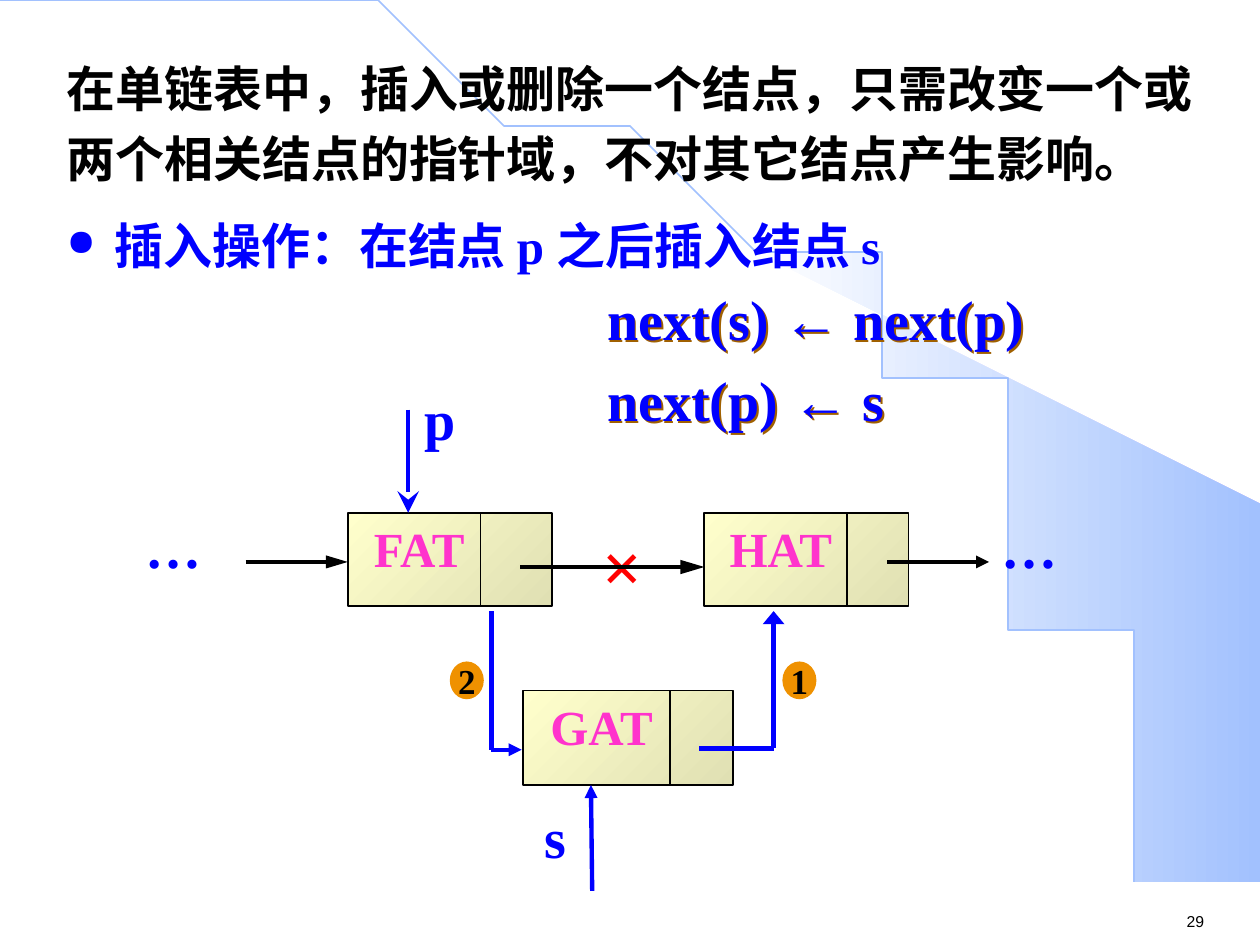
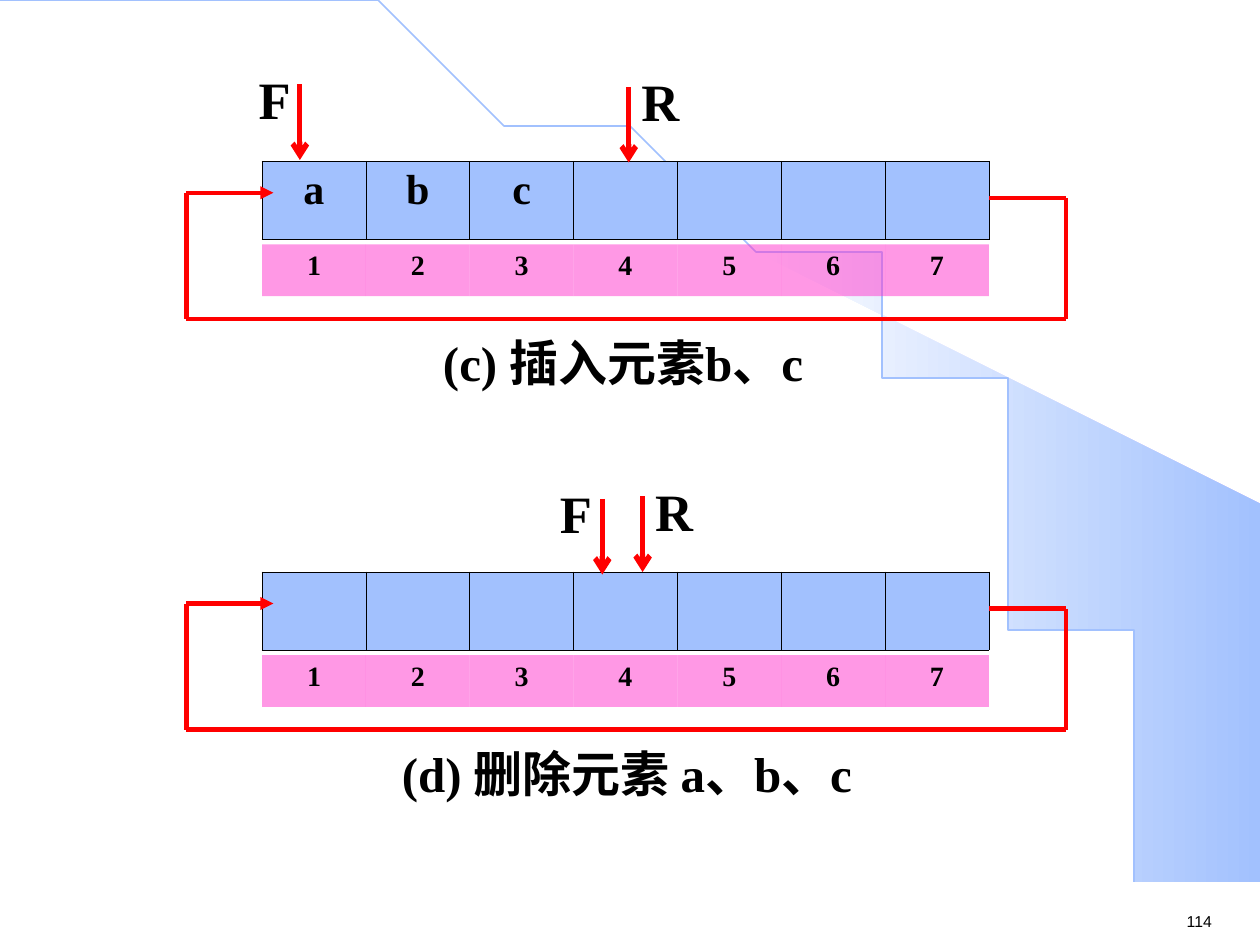
from itertools import pairwise
from math import asin, cos, pi, sin

from lxml.etree import SubElement
from pptx import Presentation
from pptx.dml.color import RGBColor
from pptx.enum.shapes import MSO_CONNECTOR, MSO_SHAPE
from pptx.enum.text import MSO_ANCHOR, PP_ALIGN
from pptx.oxml.ns import qn
from pptx.util import Inches, Pt

# ---------- shared look ----------
SLIDE_WIDTH, SLIDE_HEIGHT = 10, 7.5
COLORS = {"black": "000000", "blue": "0000FF", "red": "FF0000", "pink": "FF33CC",
          "sky": "A2C1FE", "white": "FFFFFF", "cream": "FFFFCC", "khaki": "E0E0B3",
          "orange": "EF9100", "brown": "A06000"}
SERIF, SANS, CHINESE = "Times New Roman", "Arial", "Noto Sans CJK SC"
INSETS = (0.1, 0.05)
ARC_WIDTH, ARC_HEIGHT = 9.2, 7.49
WEDGE_LEFT, WEDGE_RIGHT_TOP = 5.89, 4.23

# ---------- linked list slide ----------
LIST_NUMBER = "29"
RULE = "在单链表中，插入或删除一个结点，只需改变一个或两个相关结点的指针域，不对其它结点产生影响。"
OPERATION = "插入操作：在结点 p 之后插入结点 s"
STEPS = [[("next(s) ", SERIF), ("←", SANS), (" next(p)", SERIF)],
         [("next(p) ", SERIF), ("←", SANS), (" s", SERIF)]]
# name, left, top, width, height, share of the width before the divider
NODES = [("FAT", 2.76, 4.07, 1.62, 0.74, 0.65),
         ("HAT", 5.59, 4.07, 1.62, 0.74, 0.7),
         ("GAT", 4.15, 5.48, 1.67, 0.75, 0.7)]
# points, colour, width, head kind, head width, head length
LINKS = [
    ([(1.95, 4.46), (2.76, 4.46)], "black", 2.5, "triangle", "med", "lg"),
    ([(4.13, 4.5), (5.59, 4.5)], "black", 2.75, "triangle", "med", "lg"),
    ([(7.04, 4.46), (7.85, 4.46)], "black", 2.5, "triangle", "med", "med"),
    ([(3.24, 3.25), (3.24, 4.07)], "blue", 2.5, "stealth", "lg", "lg"),
    ([(4.7, 7.07), (4.69, 6.23)], "blue", 2.5, "triangle", "med", "med"),
    ([(3.9, 4.85), (3.9, 5.95), (4.14, 5.95)], "blue", 2.5, "triangle", "med", "med"),
    ([(5.55, 5.94), (6.14, 5.94), (6.14, 4.85)], "blue", 2.5, "triangle", "lg", "med"),
]
# text, box, size, colour, line spacing
LIST_LABELS = [("…", (1.06, 3.99, 0.81, 0.66), 32, "blue", 1.05),
               ("…", (7.85, 3.99, 0.81, 0.66), 32, "blue", 1.05),
               ("p", (3.27, 3, 0.48, 0.64), 32, "blue", None),
               ("s", (4.22, 6.32, 0.5, 0.64), 32, "blue", None)]
CROSS_BOX = (4.68, 4.1, 0.51, 0.77)
STEP_BADGES = [("1", 6.21), ("2", 3.57)]

# ---------- ring queue slide ----------
QUEUE_NUMBER = "114"
QUEUE_LEFT, QUEUE_WIDTH, SLOTS = 2.08, 5.77, 7
SLOT_HEIGHT, INDEX_TOP, INDEX_HEIGHT = 0.62, 0.66, 0.41
RING = [(7.85, 0.29), (8.46, 0.29), (8.46, 1.25), (1.48, 1.25), (1.48, 0.25), (2.17, 0.25)]
MARKER_LENGTH, MARKER_LABEL = 0.6, (0.44, 0.48)
# markers: name, arrow x, arrow top above the queue, label offset
QUEUES = [
    {"top": 1.28, "values": "abc",
     "markers": [("F", 2.38, 0.61, -0.42), ("R", 4.99, 0.59, 0.03)],
     "caption": [("(c) ", SERIF), ("插入元素", CHINESE), ("b、c", SERIF)],
     "caption_box": (3.31, 3.27)},
    {"top": 4.54, "values": "",
     "markers": [("F", 4.78, 0.58, -0.43), ("R", 5.1, 0.6, 0.03)],
     "caption": [("(d) ", SERIF), ("删除元素 ", CHINESE), ("a、b、c", SERIF)],
     "caption_box": (2.88, 4.19)},
]


def rgb(name):
    return RGBColor.from_string(COLORS[name])


def inches(values):
    return [Inches(value) for value in values]


def add_run(paragraph, text, size, color="black", font=SERIF, bold=True):
    run = paragraph.add_run()
    run.text = text
    run.font.size, run.font.bold, run.font.name = Pt(size), bold, font
    run.font.color.rgb = rgb(color)
    east_asian = SubElement(run._r.get_or_add_rPr(), qn("a:ea"))
    east_asian.set("typeface", CHINESE)


def set_insets(frame, insets):
    frame.margin_left = frame.margin_right = Inches(insets[0])
    frame.margin_top = frame.margin_bottom = Inches(insets[1])


def add_text(slide, box, paragraphs, size, color="black", align=PP_ALIGN.LEFT,
             spacing=None, before=0, insets=INSETS, bold=True):
    """Each paragraph is a list of (text, font) runs."""
    shape = slide.shapes.add_textbox(*inches(box))
    frame = shape.text_frame
    frame.word_wrap = True
    set_insets(frame, insets)
    for index, runs in enumerate(paragraphs):
        paragraph = frame.add_paragraph() if index else frame.paragraphs[0]
        paragraph.alignment = align
        if spacing:
            paragraph.line_spacing = spacing
        if index:
            paragraph.space_before = Pt(before)
        for text, font in runs:
            add_run(paragraph, text, size, color, font, bold)
    return shape


def add_line(slide, start, end, color, width, head=None, head_width="med", head_length="med"):
    line = slide.shapes.add_connector(MSO_CONNECTOR.STRAIGHT, *inches((*start, *end)))
    line.line.color.rgb, line.line.width = rgb(color), Pt(width)
    if head:
        SubElement(line.line._get_or_add_ln(), qn("a:tailEnd"),
                   type=head, w=head_width, len=head_length)
    SubElement(line._element.spPr, qn("a:effectLst"))


def add_path(slide, points, color, width, *head):
    """Joined straight lines, with the arrowhead on the last one."""
    segments = list(pairwise(points))
    for start, end in segments[:-1]:
        add_line(slide, start, end, color, width)
    add_line(slide, *segments[-1], color, width, *head)


def set_gradient(shape, first, last, angle):
    shape.fill.gradient()
    shape.fill.gradient_angle = angle
    for stop, color in zip(shape.fill.gradient_stops, (first, last)):
        stop.color.rgb = rgb(color)


def arc_points(first_angle, steps=60):
    """Points on the quarter ellipse, from an angle to its lower right end."""
    angles = [first_angle + (pi / 2 - first_angle) * step / steps for step in range(steps + 1)]
    return [(ARC_WIDTH * sin(angle), ARC_HEIGHT * (1 - cos(angle))) for angle in angles]


def add_outline(slide, points, close):
    builder = slide.shapes.build_freeform(*points[0], scale=Inches(1))
    builder.add_line_segments(points[1:], close=close)
    shape = builder.convert_to_shape()
    shape.shadow.inherit = False
    return shape


def add_base_slide(presentation, number):
    slide = presentation.slides.add_slide(presentation.slide_layouts[6])
    # Shaded wedge right of the arc
    edge = arc_points(asin(WEDGE_LEFT / ARC_WIDTH))
    corners = [(SLIDE_WIDTH, ARC_HEIGHT), (SLIDE_WIDTH, WEDGE_RIGHT_TOP)]
    wedge = add_outline(slide, edge + corners, True)
    set_gradient(wedge, "white", "sky", 0)
    wedge.line.fill.background()
    # Thin arc
    arc = add_outline(slide, arc_points(0), False)
    arc.fill.background()
    arc.line.color.rgb, arc.line.width = rgb("sky"), Pt(1)
    # Slide number
    add_text(slide, (9.32, 7.19, 0.65, 0.25), [[(number, SANS)]], 9, bold=False)
    return slide


def add_node(slide, name, left, top, width, height, share):
    box = slide.shapes.add_shape(MSO_SHAPE.RECTANGLE, *inches((left, top, width, height)))
    box.shadow.inherit = False
    set_gradient(box, "cream", "khaki", 315)
    box.line.color.rgb, box.line.width = rgb("black"), Pt(1)
    divider = left + width * share
    add_line(slide, (divider, top), (divider, top + height), "black", 1)
    add_text(slide, (left + 0.08, top, width * share - 0.08, 0.57), [[(name, SERIF)]],
             28, "pink", PP_ALIGN.CENTER)


def add_badge(slide, text, left):
    badge = slide.shapes.add_shape(MSO_SHAPE.OVAL, *inches((left, 5.25, 0.27, 0.3)))
    badge.shadow.inherit = False
    badge.fill.solid()
    badge.fill.fore_color.rgb = rgb("orange")
    badge.line.fill.background()
    frame = badge.text_frame
    frame.word_wrap, frame.vertical_anchor = False, MSO_ANCHOR.MIDDLE
    set_insets(frame, (0, 0))
    frame.paragraphs[0].alignment = PP_ALIGN.CENTER
    add_run(frame.paragraphs[0], text, 20)


def add_text_shadow(shape, color):
    effects = SubElement(shape._element.spPr, qn("a:effectLst"))
    shadow = SubElement(effects, qn("a:outerShdw"), dist=str(Pt(1.5)), dir="2700000")
    SubElement(shadow, qn("a:srgbClr"), val=COLORS[color])


def build_list_slide(presentation):
    slide = add_base_slide(presentation, LIST_NUMBER)
    # Statement, bulleted operation and its two steps
    add_text(slide, (0.43, 0.32, 9.15, 1.22), [[(RULE, SERIF)]], 28, spacing=1.2)
    operation = add_text(slide, (0.43, 1.66, 7.52, 0.67), [[(OPERATION, SERIF)]], 28, "blue")
    properties = operation.text_frame.paragraphs[0]._p.get_or_add_pPr()
    properties.set("marL", str(Inches(0.38)))
    properties.set("indent", str(-Inches(0.38)))
    SubElement(properties, qn("a:buSzPct"), val="75000")
    SubElement(properties, qn("a:buChar"), char="●")
    steps = add_text(slide, (4.72, 2.21, 4.84, 1.28), STEPS, 32, "blue", before=8)
    add_text_shadow(steps, "brown")
    # Diagram
    add_text(slide, CROSS_BOX, [[("×", SERIF)]], 40, "red", PP_ALIGN.CENTER)
    for node in NODES:
        add_node(slide, *node)
    for link in LINKS:
        add_path(slide, *link)
    for text, box, size, color, spacing in LIST_LABELS:
        add_text(slide, box, [[(text, SERIF)]], size, color, spacing=spacing)
    for badge in STEP_BADGES:
        add_badge(slide, *badge)


def add_slots(slide, top, height, values, size, color, alpha=None, border=None):
    """One table row with a cell for each queue slot."""
    table = slide.shapes.add_table(
        1, SLOTS, *inches((QUEUE_LEFT, top, QUEUE_WIDTH, height))).table
    table.first_row = table.horz_banding = False
    style = table._tbl.tblPr.find(qn("a:tableStyleId"))
    style.text = "{2D5ABB26-0587-4C30-8999-92F81FD0307C}"
    for index, cell in enumerate(table.iter_cells()):
        if border:
            for side in ("lnL", "lnR", "lnT", "lnB"):
                line = SubElement(cell._tc.get_or_add_tcPr(), qn(f"a:{side}"),
                                  w=str(Pt(border)))
                fill = SubElement(line, qn("a:solidFill"))
                SubElement(fill, qn("a:srgbClr"), val=COLORS["black"])
        cell.fill.solid()
        cell.fill.fore_color.rgb = rgb(color)
        if alpha:
            tint = next(cell._tc.tcPr.iterchildren(qn("a:solidFill")))[0]
            SubElement(tint, qn("a:alpha"), val=str(alpha * 1000))
        if index < len(values):
            paragraph = cell.text_frame.paragraphs[0]
            paragraph.alignment = PP_ALIGN.CENTER
            add_run(paragraph, values[index], size)


def add_queue(slide, top, values, markers, caption, caption_box):
    add_slots(slide, top, SLOT_HEIGHT, values, 24, "sky", border=0.45)
    numbers = [str(number) for number in range(1, SLOTS + 1)]
    add_slots(slide, top + INDEX_TOP, INDEX_HEIGHT, numbers, 16, "pink", alpha=50)
    plain = {"align": PP_ALIGN.CENTER, "spacing": Pt(33), "insets": (0, 0)}
    # Front and rear markers
    for name, x, lift, offset in markers:
        start = top - lift
        add_line(slide, (x, start), (x, start + MARKER_LENGTH), "red", 3, "arrow")
        add_text(slide, (x + offset, start - 0.1, *MARKER_LABEL), [[(name, SERIF)]], 30, **plain)
    # Line that closes the ring
    add_path(slide, [(x, top + y) for x, y in RING], "red", 2.5, "triangle")
    left, width = caption_box
    add_text(slide, (left, top + 1.37, width, 0.52), [caption], 28, **plain)


def build_queue_slide(presentation):
    slide = add_base_slide(presentation, QUEUE_NUMBER)
    for queue in QUEUES:
        add_queue(slide, **queue)


def main():
    presentation = Presentation()
    presentation.slide_width, presentation.slide_height = inches((SLIDE_WIDTH, SLIDE_HEIGHT))
    build_list_slide(presentation)
    build_queue_slide(presentation)
    presentation.save("out.pptx")


if __name__ == "__main__":
    main()
